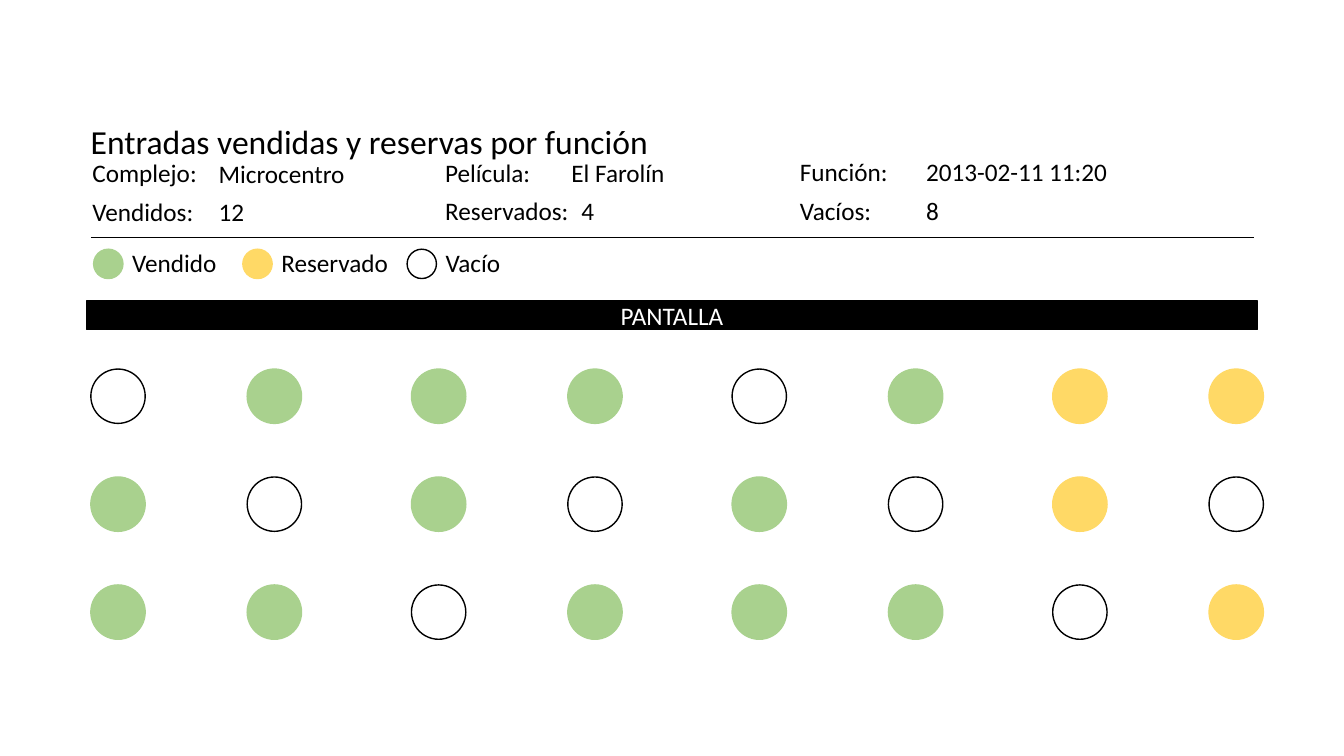
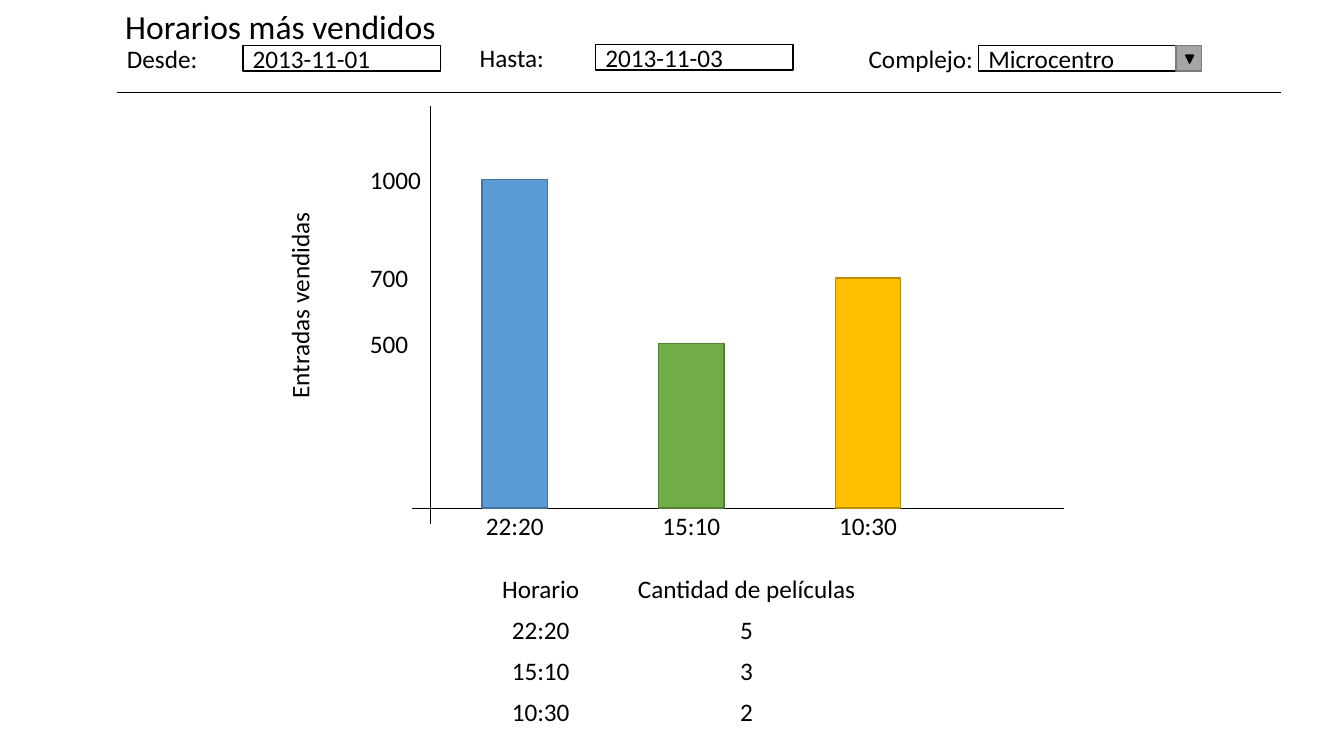
"""Build two cinema report slides: seat occupancy and best-selling showtimes."""
from dataclasses import dataclass
from itertools import product

from lxml.etree import SubElement
from pptx import Presentation
from pptx.chart.data import CategoryChartData
from pptx.dml.color import RGBColor
from pptx.enum.chart import XL_CHART_TYPE, XL_TICK_MARK
from pptx.enum.shapes import MSO_CONNECTOR, MSO_SHAPE
from pptx.enum.text import MSO_ANCHOR, MSO_AUTO_SIZE, PP_ALIGN
from pptx.oxml.ns import qn
from pptx.shapes.autoshape import Shape
from pptx.slide import Slide
from pptx.text.text import TextFrame
from pptx.util import Cm, Pt

BLACK = RGBColor(0x00, 0x00, 0x00)
WHITE = RGBColor(0xFF, 0xFF, 0xFF)
SOLD_GREEN = RGBColor(0xA9, 0xD1, 0x8E)
RESERVED_YELLOW = RGBColor(0xFF, 0xD9, 0x66)
BUTTON_GRAY = RGBColor(0xA5, 0xA5, 0xA5)
BUTTON_EDGE = RGBColor(0x7A, 0x7A, 0x7A)
FONT = "Calibri"
LABEL_HEIGHT = 1.02
FIELD_HEIGHT = 0.64
FIELD_DROP = 0.19


@dataclass(frozen=True)
class Field:
    label: str
    value: str
    left: float
    top: float
    value_left: float
    width: float = 4.98


@dataclass(frozen=True)
class SeatState:
    label: str
    fill: RGBColor
    edge: RGBColor
    legend_left: float


@dataclass(frozen=True)
class Showtime:
    hour: str
    tickets: int
    films: int
    fill: RGBColor
    edge: RGBColor


SEAT_STATES = {
    "V": SeatState("Vendido", SOLD_GREEN, SOLD_GREEN, 2.36),
    "R": SeatState("Reservado", RESERVED_YELLOW, RESERVED_YELLOW, 6.12),
    "-": SeatState("Vacío", WHITE, BLACK, 10.26),
}
SEAT_ROWS = ("-VVV-VRR", "V-V-V-R-", "VV-VVV-R")
SHOW_FIELDS = (
    Field("Complejo:", "Microcentro", 2.08, 3.85, 5.26),
    Field("Película:", "El Farolín", 10.97, 3.83, 14.15),
    Field("Función:", "2013-02-11 11:20", 19.91, 3.81, 23.09, 5.72),
    Field("Vendidos:", "12", 2.08, 4.82, 5.26),
    Field("Reservados:", "4", 10.97, 4.8, 14.4),
    Field("Vacíos:", "8", 19.91, 4.8, 23.09),
)
FILTER_FIELDS = (
    Field("Desde:", "2013-11-01", 2.95, 0.96, 6.12),
    Field("Hasta:", "2013-11-03", 11.84, 0.94, 15.01),
    Field("Complejo:", "Microcentro", 21.64, 0.96, 24.66),
)
SHOWTIMES = (
    Showtime("22:20", 1000, 5, RGBColor(0x5B, 0x9B, 0xD5), RGBColor(0x43, 0x73, 0x9E)),
    Showtime("15:10", 500, 3, RGBColor(0x70, 0xAD, 0x47), RGBColor(0x53, 0x80, 0x35)),
    Showtime("10:30", 700, 2, RGBColor(0xFF, 0xC0, 0x00), RGBColor(0xBD, 0x8E, 0x00)),
)


def write(frame: TextFrame, text: str, *, size: float = 18, color: RGBColor = BLACK,
          align: PP_ALIGN = PP_ALIGN.LEFT, anchor: MSO_ANCHOR = MSO_ANCHOR.TOP) -> None:
    """Put one formatted paragraph in a text frame."""
    frame.word_wrap = True
    frame.auto_size = MSO_AUTO_SIZE.NONE
    frame.vertical_anchor = anchor
    paragraph = frame.paragraphs[0]
    paragraph.alignment = align
    run = paragraph.add_run()
    run.text = text
    run.font.name = FONT
    run.font.size = Pt(size)
    run.font.color.rgb = color


def add_label(slide: Slide, text: str, left: float, top: float, width: float) -> Shape:
    """Add a line of plain text."""
    label = slide.shapes.add_textbox(Cm(left), Cm(top), Cm(width), Cm(LABEL_HEIGHT))
    write(label.text_frame, text)
    return label


def add_block(slide: Slide, kind: MSO_SHAPE, left: float, top: float, width: float,
              height: float, fill: RGBColor, edge: RGBColor | None = None) -> Shape:
    """Add a flat preset shape, outlined when an edge colour is given."""
    block = slide.shapes.add_shape(kind, Cm(left), Cm(top), Cm(width), Cm(height))
    block.shadow.inherit = False
    block.fill.solid()
    block.fill.fore_color.rgb = fill
    if edge is None:
        block.line.fill.background()
    else:
        block.line.color.rgb = edge
        block.line.width = Pt(1)
    return block


def add_rule(slide: Slide, left: float, top: float, right: float, bottom: float) -> None:
    """Add a thin black line."""
    rule = slide.shapes.add_connector(
        MSO_CONNECTOR.STRAIGHT, Cm(left), Cm(top), Cm(right), Cm(bottom))
    rule.line.color.rgb = BLACK
    rule.line.width = Pt(0.5)
    SubElement(rule.element.spPr, qn("a:effectLst"))


def add_field(slide: Slide, field: Field, edge: RGBColor | None = None) -> None:
    """Add a caption and the box that holds its value."""
    add_label(slide, field.label, field.left, field.top, 3.96)
    value = add_block(slide, MSO_SHAPE.RECTANGLE, field.value_left, field.top + FIELD_DROP,
                      field.width, FIELD_HEIGHT, WHITE, edge)
    write(value.text_frame, field.value, anchor=MSO_ANCHOR.MIDDLE)


def add_seat(slide: Slide, state: SeatState, left: float, top: float, diameter: float) -> None:
    """Add a circle in the colours of a seat state."""
    add_block(slide, MSO_SHAPE.OVAL, left, top, diameter, diameter, state.fill, state.edge)


def add_titled_slide(deck: Presentation, title: str, left: float, top: float) -> Slide:
    """Add a slide with its title in place."""
    slide = deck.slides.add_slide(deck.slide_layouts[5])
    heading = slide.shapes.title
    heading.left, heading.top = Cm(left), Cm(top)
    heading.width, heading.height = Cm(17.83), Cm(1.27)
    write(heading.text_frame, title, size=24)
    return slide


def add_sales_chart(slide: Slide) -> None:
    """Add the column chart with its axes and value labels."""
    left, baseline, width = 10.75, 12.8, 13.35
    axis_max, cm_per_ticket, caption_height = 1200, 8.28 / 1000, 1.3
    plot_height = axis_max * cm_per_ticket
    frame_height = plot_height + caption_height

    sales = CategoryChartData()
    sales.categories = [show.hour for show in SHOWTIMES]
    sales.add_series("Entradas vendidas", [show.tickets for show in SHOWTIMES])
    add_rule(slide, 10.39, baseline, 26.82, baseline)
    add_rule(slide, 10.85, 2.67, 10.85, 13.21)
    chart = slide.shapes.add_chart(
        XL_CHART_TYPE.COLUMN_CLUSTERED, Cm(left), Cm(baseline - plot_height),
        Cm(width), Cm(frame_height), sales).chart
    chart.has_legend = False
    chart.has_title = False
    chart.font.name = FONT
    chart.font.size = Pt(18)
    chart.font.color.rgb = BLACK
    chart.value_axis.minimum_scale = 0
    chart.value_axis.maximum_scale = axis_max
    chart.value_axis.has_major_gridlines = False
    chart.value_axis.visible = False
    chart.category_axis.major_tick_mark = XL_TICK_MARK.NONE
    chart.category_axis.format.line.fill.background()

    columns = chart.plots[0]
    columns.vary_by_categories = False
    columns.gap_width = 170
    for index, show in enumerate(SHOWTIMES):
        column = columns.series[0].points[index].format
        column.fill.solid()
        column.fill.fore_color.rgb = show.fill
        column.line.color.rgb = show.edge
        column.line.width = Pt(1)

    plot_area = chart.element.find(".//" + qn("c:plotArea"))
    for default_layout in plot_area.findall(qn("c:layout")):
        plot_area.remove(default_layout)
    layout = SubElement(plot_area, qn("c:layout"))
    plot_area.insert(0, layout)
    manual = SubElement(layout, qn("c:manualLayout"))
    for tag, setting in (("layoutTarget", "inner"), ("xMode", "edge"), ("yMode", "edge"),
                         ("x", "0"), ("y", "0"), ("w", "1"),
                         ("h", f"{plot_height / frame_height:.4f}")):
        SubElement(manual, qn(f"c:{tag}")).set("val", setting)

    for show in SHOWTIMES:
        top = baseline - show.tickets * cm_per_ticket - LABEL_HEIGHT / 2
        add_label(slide, str(show.tickets), 9.07, top, 1.8)
    add_label(slide, "Entradas vendidas", 4.5, 6.73, 6.1).rotation = 270


def add_films_table(slide: Slide) -> None:
    """Add the table of films per showtime."""
    rows = [("Horario", "Cantidad de películas")]
    rows += [(show.hour, str(show.films)) for show in SHOWTIMES]
    widths, row_height = (3.73, 6.65), 1.03
    table = slide.shapes.add_table(
        len(rows), len(widths), Cm(11.76), Cm(14.35),
        Cm(sum(widths)), Cm(row_height * len(rows))).table
    table.first_row = False
    table.horz_banding = False
    for column, width in zip(table.columns, widths):
        column.width = Cm(width)
    for row, column in product(range(len(rows)), range(len(widths))):
        cell = table.cell(row, column)
        cell.fill.background()
        write(cell.text_frame, rows[row][column], align=PP_ALIGN.CENTER)


def build_seats_slide(deck: Presentation) -> None:
    """Show which seats of a screening are sold, reserved or free."""
    slide = add_titled_slide(deck, "Entradas vendidas y reservas por función", 2.03, 2.92)
    for field in SHOW_FIELDS:
        add_field(slide, field)
    add_rule(slide, 2.29, 5.97, 31.6, 5.97)
    for state in SEAT_STATES.values():
        add_seat(slide, state, state.legend_left, 6.28, 0.74)
        add_label(slide, state.label, state.legend_left + 0.72, 6.12, 3.4)
    screen = add_block(slide, MSO_SHAPE.RECTANGLE, 2.18, 7.59, 29.51, 0.71, BLACK, BLACK)
    write(screen.text_frame, "PANTALLA", color=WHITE,
          align=PP_ALIGN.CENTER, anchor=MSO_ANCHOR.MIDDLE)
    for row, seats in enumerate(SEAT_ROWS):
        for column, code in enumerate(seats):
            pair, side = divmod(column, 2)
            add_seat(slide, SEAT_STATES[code], 2.29 + pair * 8.08 + side * 3.94,
                     9.3 + row * 2.72, 1.37)


def build_showtimes_slide(deck: Presentation) -> None:
    """Compare ticket sales by showtime."""
    slide = add_titled_slide(deck, "Horarios más vendidos", 2.9, 0.03)
    for field in FILTER_FIELDS:
        add_field(slide, field, BLACK)
    add_block(slide, MSO_SHAPE.RECTANGLE, 29.64, 1.15, FIELD_HEIGHT, FIELD_HEIGHT,
              BUTTON_GRAY, BUTTON_EDGE)
    arrow = add_block(slide, MSO_SHAPE.ISOSCELES_TRIANGLE, 29.88, 1.39, 0.2, 0.2, BLACK, BLACK)
    arrow.rotation = 180
    add_rule(slide, 2.95, 2.32, 32.28, 2.32)
    add_sales_chart(slide)
    add_films_table(slide)


def main() -> None:
    """Build and save the deck."""
    deck = Presentation()
    deck.slide_width, deck.slide_height = Cm(33.87), Cm(19.05)
    build_seats_slide(deck)
    build_showtimes_slide(deck)
    deck.save("out.pptx")


if __name__ == "__main__":
    main()
